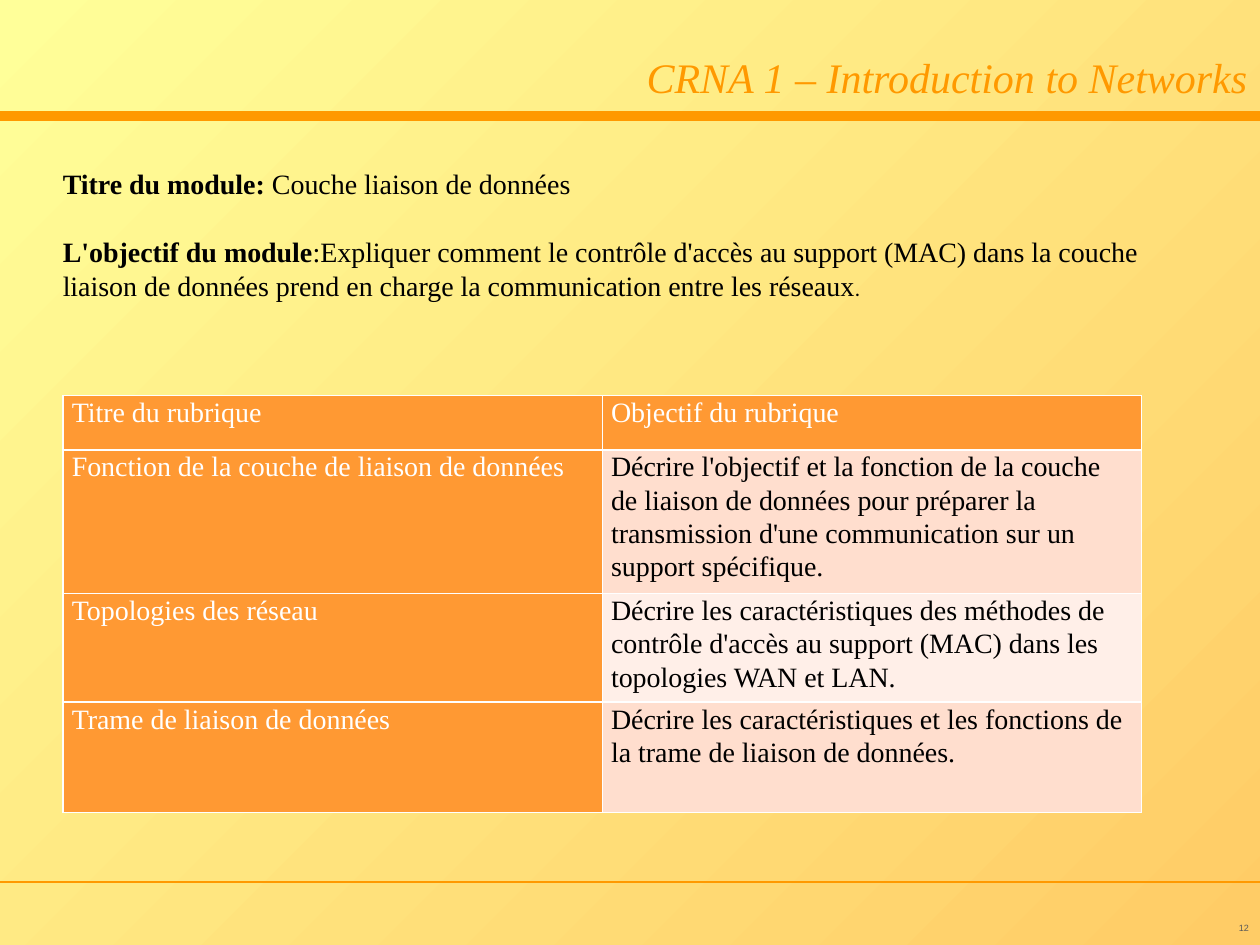
from lxml import etree
from pptx import Presentation
from pptx.dml.color import RGBColor
from pptx.enum.shapes import MSO_CONNECTOR as CONN
from pptx.enum.text import MSO_ANCHOR as ANCHOR, PP_ALIGN as ALIGN
from pptx.oxml.ns import qn
from pptx.util import Inches, Pt

ORANGE = RGBColor(0xFF, 0x99, 0x00)
HEADER = RGBColor(0xFF, 0x99, 0x33)
BAND_DARK = RGBColor(0xFF, 0xDE, 0xCE)
BAND_LIGHT = RGBColor(0xFF, 0xEF, 0xE8)
PALE_YELLOW = RGBColor(0xFF, 0xFF, 0x99)
AMBER = RGBColor(0xFF, 0xCC, 0x66)
BLACK = RGBColor(0x00, 0x00, 0x00)
WHITE = RGBColor(0xFF, 0xFF, 0xFF)
GREY = RGBColor(0x59, 0x59, 0x59)

SERIF = "Times New Roman"
TITLE = {"name": SERIF, "size": Pt(24), "italic": True}
BODY = {"name": SERIF, "size": Pt(16), "bold": False}
STRONG = {**BODY, "bold": True}
STOP = {"name": "Calibri", "size": Pt(12), "bold": False}
NUMBER = {"name": "Arial", "size": Pt(5.2)}
CELL_MARGINS = {
    "margin_left": Inches(0.07), "margin_right": Inches(0.07),
    "margin_top": 0, "margin_bottom": 0,
}

INTRO = [
    [("Titre du module: ", STRONG), ("Couche liaison de données", BODY)],
    [("L'objectif du module", STRONG),
     (":Expliquer comment le contrôle d'accès au support (MAC) dans la couche "
      "liaison de données prend en charge la communication entre les réseaux", BODY),
     (".", STOP)],
]
TOPICS = [
    ("Titre du rubrique", "Objectif du rubrique"),
    ("Fonction de la couche de liaison de données",
     "Décrire l'objectif et la fonction de la couche de liaison de données pour "
     "préparer la transmission d'une communication sur un support spécifique."),
    ("Topologies des réseau",
     "Décrire les caractéristiques des méthodes de contrôle d'accès au support "
     "(MAC) dans les topologies WAN et LAN."),
    ("Trame de liaison de données",
     "Décrire les caractéristiques et les fonctions de la trame de liaison de données."),
]
ROW_HEIGHTS = [0.43, 1.14, 0.86, 0.88]


def set_all(obj, values):
    for name, value in values.items():
        setattr(obj, name, value)


def place(sp, x, y, w, h):
    set_all(sp, {"left": Inches(x), "top": Inches(y),
                 "width": Inches(w), "height": Inches(h)})


def add_run(p, text, fmt, color):
    r = p.add_run()
    r.text = text
    set_all(r.font, fmt)
    r.font.color.rgb = color


def set_background(s):
    fill = s.background.fill
    fill.gradient()
    fill.gradient_angle = 315
    for stop, color in zip(fill.gradient_stops, (PALE_YELLOW, AMBER)):
        stop.color.rgb = color


def add_rule(s, y, width):
    line = s.shapes.add_connector(CONN.STRAIGHT, 0, Inches(y), Inches(10), Inches(y))
    line.line.color.rgb = ORANGE
    line.line.width = Pt(width)
    etree.SubElement(line._element.spPr, qn("a:effectLst"))


def add_title(s, text):
    sp = s.shapes.title
    place(sp, 0, 0.06, 10, 1.1)
    tf = sp.text_frame
    tf.vertical_anchor = ANCHOR.MIDDLE
    p = tf.paragraphs[0]
    p.alignment = ALIGN.RIGHT
    add_run(p, text, TITLE, ORANGE)


def add_text(s, box, paragraphs, color, anchor=ANCHOR.TOP, align=ALIGN.LEFT):
    tf = s.shapes.add_textbox(*map(Inches, box)).text_frame
    tf.word_wrap = True
    tf.vertical_anchor = anchor
    for i, runs in enumerate(paragraphs):
        p = tf.add_paragraph() if i else tf.paragraphs[0]
        p.alignment = align
        if i:
            p.space_before = Pt(20)
        for text, fmt in runs:
            add_run(p, text, fmt, color)


def set_borders(cell):
    tcPr = cell._tc.get_or_add_tcPr()
    for i, side in enumerate(("lnL", "lnR", "lnT", "lnB")):
        ln = etree.Element(qn(f"a:{side}"), w=str(Pt(1)))
        fill = etree.SubElement(ln, qn("a:solidFill"))
        etree.SubElement(fill, qn("a:srgbClr"), val=str(WHITE))
        tcPr.insert(i, ln)


def fill_cell(cell, text, fill, color):
    set_all(cell, CELL_MARGINS)
    cell.fill.solid()
    cell.fill.fore_color.rgb = fill
    set_borders(cell)
    p = cell.text_frame.paragraphs[0]
    p.line_spacing = 1.07
    add_run(p, text, BODY, color)


def add_topics(s):
    box = map(Inches, (0.5, 3.14, 8.56, sum(ROW_HEIGHTS)))
    table = s.shapes.add_table(len(TOPICS), 2, *box).table
    for i, (row, height) in enumerate(zip(TOPICS, ROW_HEIGHTS)):
        table.rows[i].height = Inches(height)
        for j, text in enumerate(row):
            if i == 0 or j == 0:
                fill, color = HEADER, WHITE
            else:
                fill, color = (BAND_DARK if i % 2 else BAND_LIGHT), BLACK
            fill_cell(table.cell(i, j), text, fill, color)


def main():
    prs = Presentation()
    prs.slide_width, prs.slide_height = Inches(10), Inches(7.5)
    s = prs.slides.add_slide(prs.slide_layouts[5])
    set_background(s)
    add_rule(s, 0.92, 6)
    add_rule(s, 7, 1)
    add_title(s, "CRNA 1 – Introduction to Networks")
    add_text(s, (0.4, 1.27, 8.76, 1.48), INTRO, BLACK)
    add_topics(s)
    add_text(s, (9.27, 7.22, 0.74, 0.28), [[("12", NUMBER)]], GREY,
             ANCHOR.MIDDLE, ALIGN.RIGHT)
    prs.save("out.pptx")


if __name__ == "__main__":
    main()
